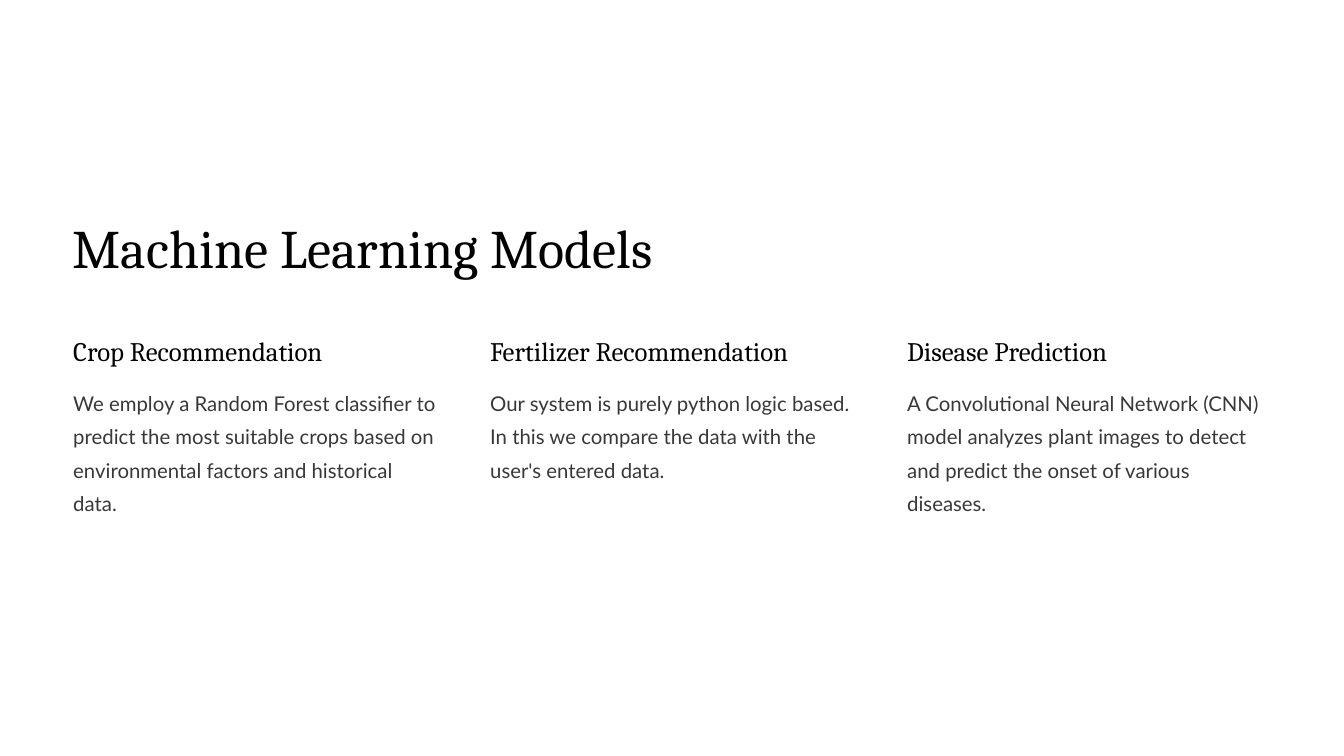
from pptx import Presentation
from pptx.dml.color import RGBColor
from pptx.enum.text import MSO_ANCHOR, MSO_AUTO_SIZE, PP_ALIGN
from pptx.util import Inches, Pt

COLOURS = {"backdrop": "FAFAFA", "page": "FFFFFF", "heading": "020202", "body": "383838"}
SLIDE_WIDTH, SLIDE_HEIGHT = 20, 11.25
LEFT_EDGE, RIGHT_EDGE = 1.09, 18.94
COLUMN_WIDTH = 5.44
COLUMNS_TOP, COLUMNS_HEIGHT = 4.96, 2.82
HEADING_HEIGHT, BODY_OFFSET = 0.53, 0.73

MODELS = [
    ("Crop Recommendation",
     "We employ a Random Forest classifier to predict the most suitable crops "
     "based on environmental factors and historical data."),
    ("Fertilizer Recommendation",
     "Our system is purely python logic based. In this we compare the data "
     "with the user's entered data."),
    ("Disease Prediction",
     "A Convolutional Neural Network (CNN) model analyzes plant images to "
     "detect and predict the onset of various diseases."),
]
COLUMN_PITCH = (RIGHT_EDGE - LEFT_EDGE - COLUMN_WIDTH) / (len(MODELS) - 1)


def write(holder, text, *, size, leading, font="Cambria", colour="heading"):
    frame = holder.text_frame
    frame.word_wrap = True
    frame.auto_size = MSO_AUTO_SIZE.NONE
    frame.vertical_anchor = MSO_ANCHOR.TOP
    frame.margin_left = frame.margin_right = 0
    frame.margin_top = frame.margin_bottom = 0
    paragraph = frame.paragraphs[0]
    paragraph.alignment = PP_ALIGN.LEFT
    paragraph.line_spacing = Pt(leading)
    run = paragraph.add_run()
    run.text = text
    run.font.name = font
    run.font.size = Pt(size)
    run.font.color.rgb = RGBColor.from_string(COLOURS[colour])


def add_panel(slide, colour, left, top, width, height):
    right, bottom = left + width, top + height
    outline = slide.shapes.build_freeform(left, top, scale=Inches(1))
    outline.add_line_segments([(right, top), (right, bottom), (left, bottom)], close=True)
    panel = outline.convert_to_shape()
    panel.shadow.inherit = False
    panel.fill.solid()
    panel.fill.fore_color.rgb = RGBColor.from_string(COLOURS[colour])
    panel.line.fill.background()


def add_title(slide, left, top, width, height):
    title = slide.shapes.title
    title.left, title.top = Inches(left), Inches(top)
    title.width, title.height = Inches(width), Inches(height)
    write(title, "Machine Learning Models", size=58.1, leading=73.1)
    # Bring the title in front of the panels.
    slide.shapes.element.append(title.element)


def add_model(slide, name, description, left, top, width, height):
    heading = slide.shapes.add_textbox(
        Inches(left), Inches(top), Inches(width), Inches(HEADING_HEIGHT))
    write(heading, name, size=28.7, leading=36.2)
    body = slide.shapes.add_textbox(
        Inches(left), Inches(top + BODY_OFFSET),
        Inches(width), Inches(height - BODY_OFFSET))
    write(body, description, size=21.8, leading=35.7, font="Lato", colour="body")


def main():
    deck = Presentation()
    deck.slide_width, deck.slide_height = Inches(SLIDE_WIDTH), Inches(SLIDE_HEIGHT)
    slide = deck.slides.add_slide(deck.slide_layouts.get_by_name("Title Only"))

    for colour in ("backdrop", "page"):
        add_panel(slide, colour, 0, 0, SLIDE_WIDTH, SLIDE_HEIGHT)
    add_title(slide, LEFT_EDGE - 0.01, 3.14, 9.34, 1.06)
    for column, (name, description) in enumerate(MODELS):
        add_model(slide, name, description, LEFT_EDGE + column * COLUMN_PITCH,
                  COLUMNS_TOP, COLUMN_WIDTH, COLUMNS_HEIGHT)
    deck.save("out.pptx")


if __name__ == "__main__":
    main()
